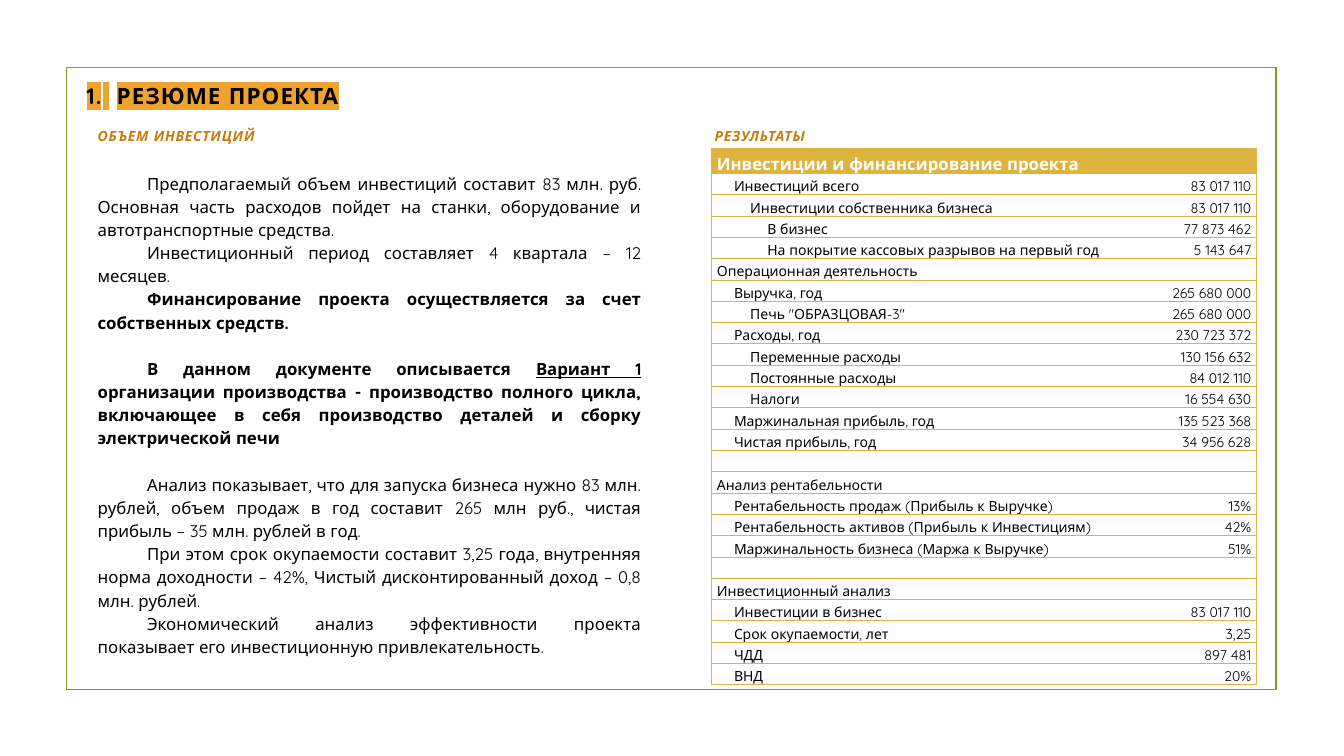
"""Build the project summary slide with investment text and a results table."""
from dataclasses import dataclass

from lxml import etree
from pptx import Presentation
from pptx.dml.color import RGBColor
from pptx.enum.shapes import MSO_SHAPE
from pptx.enum.text import MSO_ANCHOR, MSO_AUTO_SIZE, PP_ALIGN
from pptx.oxml.ns import qn
from pptx.util import Inches, Pt

RECTANGLE = MSO_SHAPE.RECTANGLE
TOP, MIDDLE = MSO_ANCHOR.TOP, MSO_ANCHOR.MIDDLE
GROW = MSO_AUTO_SIZE.SHAPE_TO_FIT_TEXT
LEFT, RIGHT, JUSTIFY = PP_ALIGN.LEFT, PP_ALIGN.RIGHT, PP_ALIGN.JUSTIFY


@dataclass(frozen=True)
class Theme:
    font: str = "Quicksand"
    black: str = "000000"
    white: str = "FFFFFF"
    green: str = "83992A"
    orange: str = "F0A22E"
    brown: str = "C77C0E"
    gold: str = "DEB340"
    title_size: float = 16
    body_size: float = 12
    small_size: float = 10


THEME = Theme()


def write(para, text, size=THEME.body_size, color=THEME.black, bold=False, italic=False,
          underline=False, tracking=0, highlight=None, align=LEFT, spacing=1.0,
          before=0, indent=0):
    """Add formatted text to a paragraph; empty text only sets the line size."""
    para.alignment = align
    para.line_spacing = spacing
    if before:
        para.space_before = Pt(before)
    properties = para._p.get_or_add_pPr()
    properties.set("marL", "0")
    properties.set("indent", str(Inches(indent)))
    if not text:
        etree.SubElement(para._p, qn("a:endParaRPr"), sz=str(int(size * 100)))
        return
    span = para.add_run()
    span.text = text
    font = span.font
    font.size, font.bold, font.italic, font.underline = Pt(size), bold, italic, underline
    font.color.rgb = RGBColor.from_string(color)
    run_properties = span._r.get_or_add_rPr()
    if tracking:
        run_properties.set("spc", str(int(tracking * 100)))
    if highlight:
        marker = etree.SubElement(run_properties, qn("a:highlight"))
        etree.SubElement(marker, qn("a:srgbClr"), val=highlight)
    font.name = THEME.font


def set_borders(cell, sides):
    """Draw gold borders on the named sides of a cell and clear the others."""
    properties = cell._tc.get_or_add_tcPr()
    for position, side in enumerate("LRTB"):
        line = etree.Element(qn(f"a:ln{side}"), w=str(Pt(0.75)))
        if side in sides:
            fill = etree.SubElement(line, qn("a:solidFill"))
            etree.SubElement(fill, qn("a:srgbClr"), val=THEME.gold)
        else:
            etree.SubElement(line, qn("a:noFill"))
        properties.insert(position, line)


deck = Presentation()
deck.slide_width, deck.slide_height = Inches(13.33), Inches(7.5)
page = deck.slides.add_slide(deck.slide_layouts[5])

title = page.shapes.title
title.left, title.top = Inches(0.76), Inches(0.76)
title.width, title.height = Inches(11.8), Inches(0.37)
title.text_frame.auto_size = GROW
title.text_frame.vertical_anchor = TOP
for text, tracking in [("1.", 0.8), (" ", 5.6), ("РЕЗЮМЕ ПРОЕКТА", 0.8)]:
    write(title.text_frame.paragraphs[0], text, size=THEME.title_size, bold=True,
          tracking=tracking, highlight=THEME.orange)

frame = page.shapes.add_shape(RECTANGLE, Inches(0.66), Inches(0.67), Inches(12), Inches(6.17))
frame.shadow.inherit = False
frame.fill.background()
frame.line.color.rgb = RGBColor.from_string(THEME.green)
frame.line.width = Pt(1.25)

for heading, left, width in [("ОБЪЕМ ИНВЕСТИЦИЙ", 0.87, 5.59), ("РЕЗУЛЬТАТЫ", 6.99, 5.31)]:
    box = page.shapes.add_textbox(Inches(left), Inches(1.19), Inches(width), Inches(0.28))
    box.text_frame.word_wrap = True
    box.text_frame.auto_size = GROW
    write(box.text_frame.paragraphs[0], heading, size=THEME.small_size, color=THEME.brown,
          bold=True, italic=True, tracking=0.5, spacing=1.15)

summary = [
    (0, [("Предполагаемый объем инвестиций составит 83 млн. руб. Основная часть расходов "
          "пойдет на станки, оборудование и автотранспортные средства.", {})]),
    (0, [("Инвестиционный период составляет 4 квартала – 12 месяцев.", {})]),
    (0, [("Финансирование проекта осуществляется за счет собственных средств.",
          {"bold": True})]),
    (16.5, [("В данном документе описывается ", {"bold": True}),
            ("Вариант 1", {"bold": True, "underline": True}),
            (" организации производства - производство полного цикла, включающее в себя "
             "производство деталей и сборку электрической печи", {"bold": True})]),
    (16.5, [("Анализ показывает, что для запуска бизнеса нужно 83 млн. рублей, объем продаж "
             "в год составит 265 млн руб., чистая прибыль – 35 млн. рублей в год.", {})]),
    (0, [("При этом срок окупаемости составит 3,25 года, внутренняя норма доходности – 42%, "
          "Чистый дисконтированный доход – 0,8 млн. рублей.", {})]),
    (0, [("Экономический анализ эффективности проекта показывает его инвестиционную "
          "привлекательность.", {})]),
]
body = page.shapes.add_textbox(Inches(0.87), Inches(1.64), Inches(5.59), Inches(4.96)).text_frame
body.word_wrap = True
body.auto_size = GROW
for number, (before, spans) in enumerate(summary):
    para = body.add_paragraph() if number else body.paragraphs[0]
    for text, style in spans:
        write(para, text, align=JUSTIFY, spacing=1.15, before=before, indent=0.49, **style)

results = [
    (0, "Инвестиции и финансирование проекта", ""),
    (1, "Инвестиций всего", "83 017 110"),
    (2, "Инвестиции собственника бизнеса", "83 017 110"),
    (3, "В бизнес", "77 873 462"),
    (3, "На покрытие кассовых разрывов на первый год", "5 143 647"),
    (0, "Операционная деятельность", ""),
    (1, "Выручка, год", "265 680 000"),
    (2, 'Печь "ОБРАЗЦОВАЯ-3"', "265 680 000"),
    (1, "Расходы, год", "230 723 372"),
    (2, "Переменные расходы", "130 156 632"),
    (2, "Постоянные расходы", "84 012 110"),
    (2, "Налоги", "16 554 630"),
    (1, "Маржинальная прибыль, год", "135 523 368"),
    (1, "Чистая прибыль, год", "34 956 628"),
    (0, "", ""),
    (0, "Анализ рентабельности", ""),
    (1, "Рентабельность продаж (Прибыль к Выручке)", "13%"),
    (1, "Рентабельность активов (Прибыль к Инвестициям)", "42%"),
    (1, "Маржинальность бизнеса (Маржа к Выручке)", "51%"),
    (0, "", ""),
    (0, "Инвестиционный анализ", ""),
    (1, "Инвестиции в бизнес", "83 017 110"),
    (1, "Срок окупаемости, лет", "3,25"),
    (1, "ЧДД", "897 481"),
    (1, "ВНД", "20%"),
]
table = page.shapes.add_table(len(results), 2, Inches(7.06), Inches(1.47),
                              Inches(5.4), Inches(5.29)).table
table.horz_banding = False
table.columns[0].width, table.columns[1].width = Inches(4.01), Inches(1.39)
for row, (level, label, value) in enumerate(results):
    header = row == 0
    for column, text in enumerate((label, value)):
        cell = table.cell(row, column)
        cell.margin_left = cell.margin_right = Inches(0.05)
        cell.margin_top = cell.margin_bottom = 0
        cell.vertical_anchor = MIDDLE
        if header:
            cell.fill.solid()
            cell.fill.fore_color.rgb = RGBColor.from_string(THEME.gold)
        else:
            cell.fill.background()
        set_borders(cell, "RTB" if column else "LTB")
        write(cell.text_frame.paragraphs[0], text, bold=header,
              size=THEME.body_size if header else THEME.small_size,
              color=THEME.white if header else THEME.black,
              align=RIGHT if column else LEFT, spacing=1.25,
              indent=0 if column else round(level / 6, 2))

deck.save("out.pptx")
